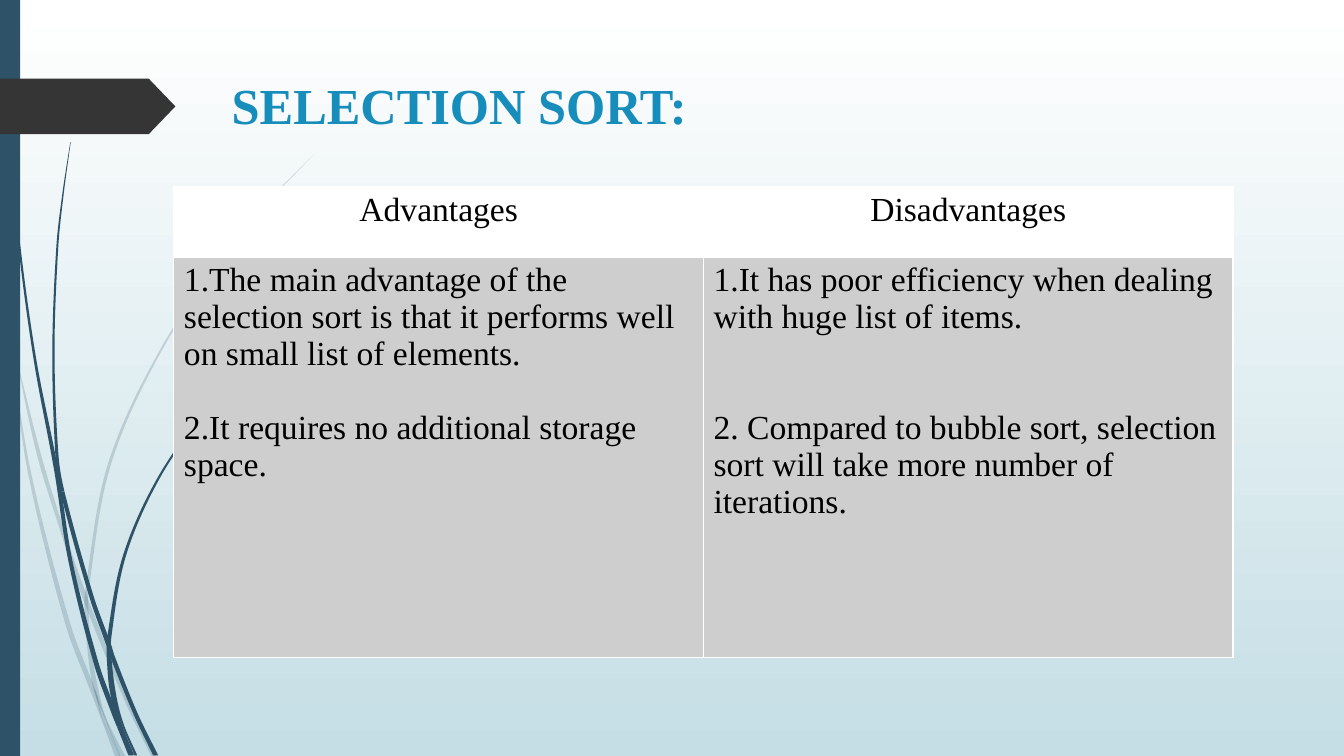
import math

from pptx import Presentation
from pptx import util as u
from pptx.dml import color
from pptx.enum import shapes, text
from pptx.oxml.ns import qn
from lxml import etree

Pt = u.Pt
FONT = "Times New Roman"
NAVY, CHARCOAL, BLUE, GREY = "2E5369", "353535", "178DBB", "CECECE"
WHITE, BLACK, MIST = "FFFFFF", "000000", "C5DEE5"

# A stem is a list of sections; each section holds (x, y, width) along its
# middle, in points, and starts where the section before it ends
PALE_STEMS = [
    [[(10, 248, 0), (27.4, 323, 2.9), (43.2, 375, 2.9), (60.8, 427, 3.6)],
     [(90, 499, 3.2), (109.8, 540, 3.6)]],
    [[(1, 209, 2), (8, 252, 0.5)],
     [(21.2, 338, 2.2), (48.6, 446, 3.6), (67, 495, 3.6), (73, 514, 1)],
     [(83.9, 540, 3.6)]],
    [[(67.5, 492, 0.5), (74.2, 513, 2.5), (85.7, 540, 0.5)]],
    [[(224.6, 110, 0), (208.8, 126, 0.7), (193, 142, 0.7), (164.5, 176, 1.1),
      (114.5, 251, 1.6), (78.1, 332, 2.2), (62.3, 420.5, 2.4)],
     [(61.9, 439, 2.9)],
     [(64, 465, 2.9), (68.4, 492, 3.4), (75, 512, 1)],
     [(87.5, 540, 3.6)]],
]
DARK_STEMS = [
    [[(2.5, 0, 0.7), (5.4, 79, 0.7), (13, 168, 1.4), (24.8, 255.5, 1.9),
      (40, 335, 2.9)],
     [(50.4, 401, 2.9), (68.8, 474, 3.6), (81.7, 510, 3.6), (84.5, 519, 2)],
     [(93.2, 539.5, 3)]],
    [[(50.4, 101.5, 0.3), (45, 139, 1), (41, 176, 1.4), (38.2, 251, 1.6),
      (40.7, 325, 2.2)],
     [(44.6, 351, 2.9)],
     [(65.2, 425.5, 3.2), (77.8, 461, 3.6)],
     [(79.6, 467, 3.4)],
     [(96.5, 509, 3.2), (111.2, 539.5, 3.6)]],
    [[(79.5, 498, 0.5), (85.5, 517.5, 3), (94.8, 539.5, 2)]],
    [[(187.6, 248, 0.3), (176.4, 258, 0.7), (166.3, 269, 0.9),
      (147.2, 292, 1.4), (113, 342, 1.8), (88.9, 397, 2.2), (78.1, 455, 2.9)],
     [(78.1, 472, 3.4), (81.2, 497.5, 4), (87.5, 517, 1.5)],
     [(97, 539.5, 2)]],
]

# Column: heading, paragraphs, gap between the paragraphs
COLUMNS = [
    ("Advantages",
     ["1.The main advantage of the selection sort is that it performs well "
      "on small list of elements.",
      "2.It requires no additional storage space."], 26.5),
    ("Disadvantages",
     ["1.It has poor efficiency when dealing with huge list of items.",
      "2. Compared to bubble sort, selection sort will take more number of "
      "iterations."], 53),
]


def rgb(value):
    return color.RGBColor.from_string(value)


def paint(sp, fill, opacity=100):
    sp.shadow.inherit = False
    sp.fill.solid()
    sp.fill.fore_color.rgb = rgb(fill)
    sp.line.fill.background()
    if opacity < 100:
        clr = sp._element.spPr.find(qn("a:solidFill"))[0]
        etree.SubElement(clr, qn("a:alpha")).set("val", str(opacity * 1000))


def add_background(s):
    fill = s.background.fill
    fill.gradient()
    fill.gradient_angle = 270
    for stop, value, place in zip(fill.gradient_stops, (WHITE, MIST), (0, 1)):
        stop.color.rgb = rgb(value)
        stop.position = place


def bezier_points(points):
    """Anchors with two control points between each pair."""
    slopes = []
    for a, b, c in zip(points[:1] + points, points, points[1:] + points[-1:]):
        span = math.dist(a, b) + math.dist(b, c)
        slopes.append(((c[0] - a[0]) / span, (c[1] - a[1]) / span))
    curve = [points[0]]
    for (x1, y1), (x2, y2), m, n in zip(points, points[1:], slopes, slopes[1:]):
        third = math.dist((x1, y1), (x2, y2)) / 3
        curve += [(x1 + m[0] * third, y1 + m[1] * third),
                  (x2 - n[0] * third, y2 - n[1] * third), (x2, y2)]
    return curve


def add_curved_outline(group, points, opacity):
    outline = [(Pt(x), Pt(y)) for x, y in points]
    builder = group.shapes.build_freeform(*outline[0], scale=1)
    builder.add_line_segments(outline[1:], close=True)
    sp = builder.convert_to_shape()
    # Each three line ends become one cubic curve
    lines = list(sp._element.iter(qn("a:lnTo")))
    for trio in zip(lines[::3], lines[1::3], lines[2::3]):
        curve = etree.Element(qn("a:cubicBezTo"))
        trio[0].addprevious(curve)
        for line in trio:
            curve.append(line[0])
            line.getparent().remove(line)
    paint(sp, NAVY, opacity)


def add_stem(group, sections, opacity):
    points = [point for section in sections for point in section]
    left = bezier_points([(x - w / 2, y) for x, y, w in points])
    right = bezier_points([(x + w / 2, y) for x, y, w in points])
    start = end = 0
    for section in sections:
        end += 3 * (len(section) - (end == 0))
        down, up = left[start:end + 1], right[start:end + 1][::-1]
        add_curved_outline(group, down + [down[-1], up[0]] + up, opacity)
        start = end


def add_block(s, kind, left, top, width, height, fill):
    sp = s.shapes.add_shape(kind, Pt(left), Pt(top), Pt(width), Pt(height))
    paint(sp, fill)
    return sp


def set_font(p, size, value, bold=False):
    p.font.name, p.font.size, p.font.bold = FONT, Pt(size), bold
    p.font.color.rgb = rgb(value)


def add_title(s, words):
    tf = s.shapes.add_textbox(Pt(158.4), Pt(49.4), Pt(702), Pt(64)).text_frame
    tf.word_wrap = True
    p = tf.paragraphs[0]
    p.text = words
    set_font(p, 36, BLUE, bold=True)


def add_borders(cell, widths):
    tcPr = cell._tc.get_or_add_tcPr()
    for i, (side, width) in enumerate(zip("LRTB", widths)):
        ln = etree.Element(qn("a:ln" + side), w=str(Pt(width)))
        solid = etree.SubElement(ln, qn("a:solidFill"))
        etree.SubElement(solid, qn("a:srgbClr")).set("val", WHITE)
        tcPr.insert(i, ln)


def fill_cell(cell, paragraphs, fill, align, borders, gap=0):
    cell.fill.solid()
    cell.fill.fore_color.rgb = rgb(fill)
    add_borders(cell, borders)
    tf = cell.text_frame
    for i, words in enumerate(paragraphs):
        p = tf.add_paragraph() if i else tf.paragraphs[0]
        p.text = words
        p.alignment = align
        p.space_before = Pt(gap if i else 0)
        set_font(p, 24, BLACK)


def add_comparison(s):
    heights = (49.6, 286.8)
    table = s.shapes.add_table(2, len(COLUMNS), Pt(124.2), Pt(133.3),
                               Pt(756.6), Pt(sum(heights))).table
    for row, height in zip(table.rows, heights):
        row.height = Pt(height)
    center, left = text.PP_ALIGN.CENTER, text.PP_ALIGN.LEFT
    for i, (heading, points, gap) in enumerate(COLUMNS):
        fill_cell(table.cell(0, i), [heading], WHITE, center, (1, 1, 1, 3))
        fill_cell(table.cell(1, i), points, GREY, left, (1, 1, 3, 1), gap)


def main():
    prs = Presentation()
    prs.slide_width, prs.slide_height = Pt(960), Pt(540)
    s = prs.slides.add_slide(prs.slide_layouts[6])
    add_background(s)

    # Grass stems at the left
    for stems, opacity in ((PALE_STEMS, 20), (DARK_STEMS, 100)):
        group = s.shapes.add_group_shape()
        for sections in stems:
            add_stem(group, sections, opacity)

    # Side bar and arrow tag
    add_block(s, shapes.MSO_SHAPE.RECTANGLE, 0, 0, 14.4, 540, NAVY)
    tag = add_block(s, shapes.MSO_SHAPE.PENTAGON, 0, 56.2, 125.3, 39.6, CHARCOAL)
    tag.adjustments[0] = 0.48

    # Title and table
    add_title(s, "SELECTION SORT:")
    add_comparison(s)
    prs.save("out.pptx")


if __name__ == "__main__":
    main()
